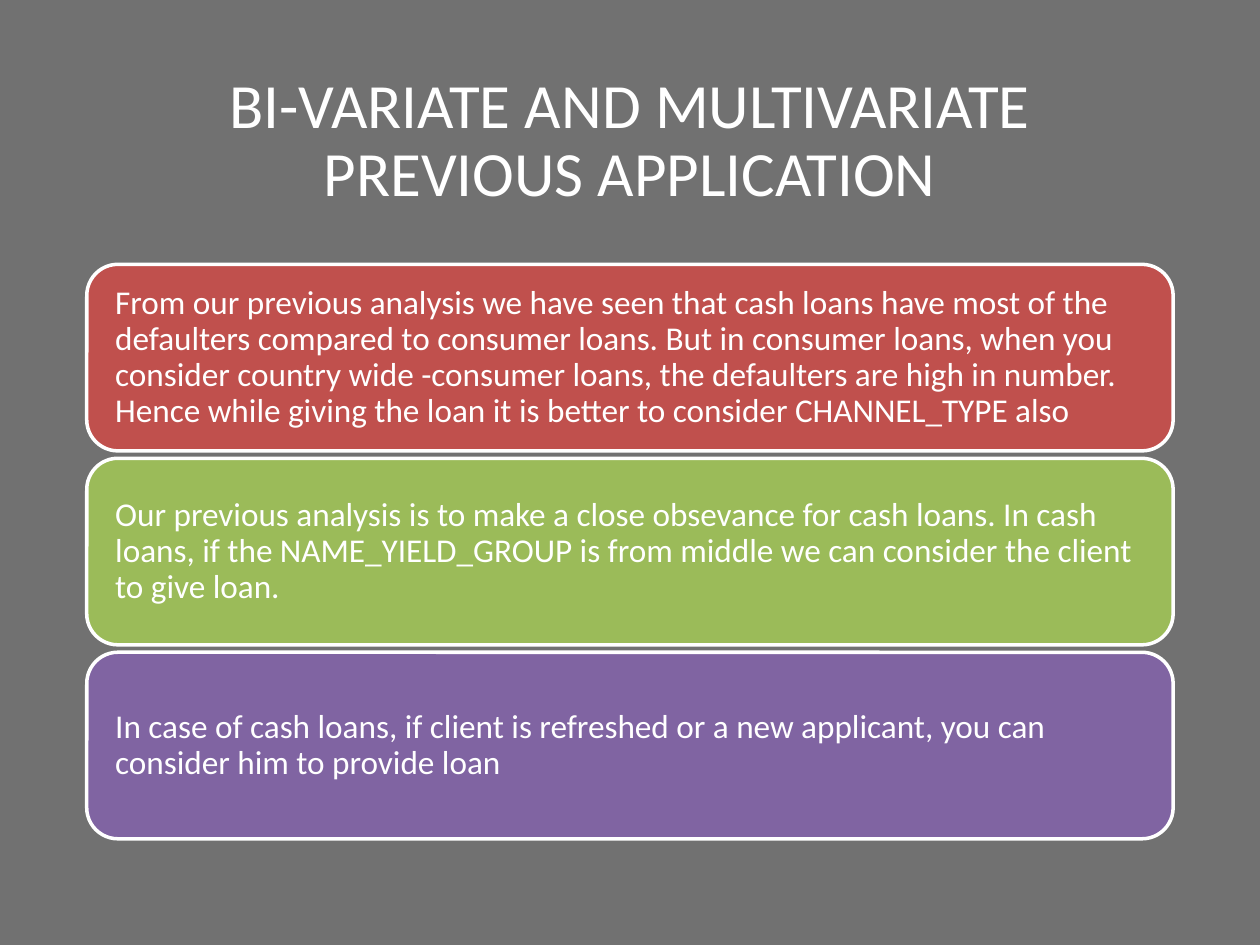
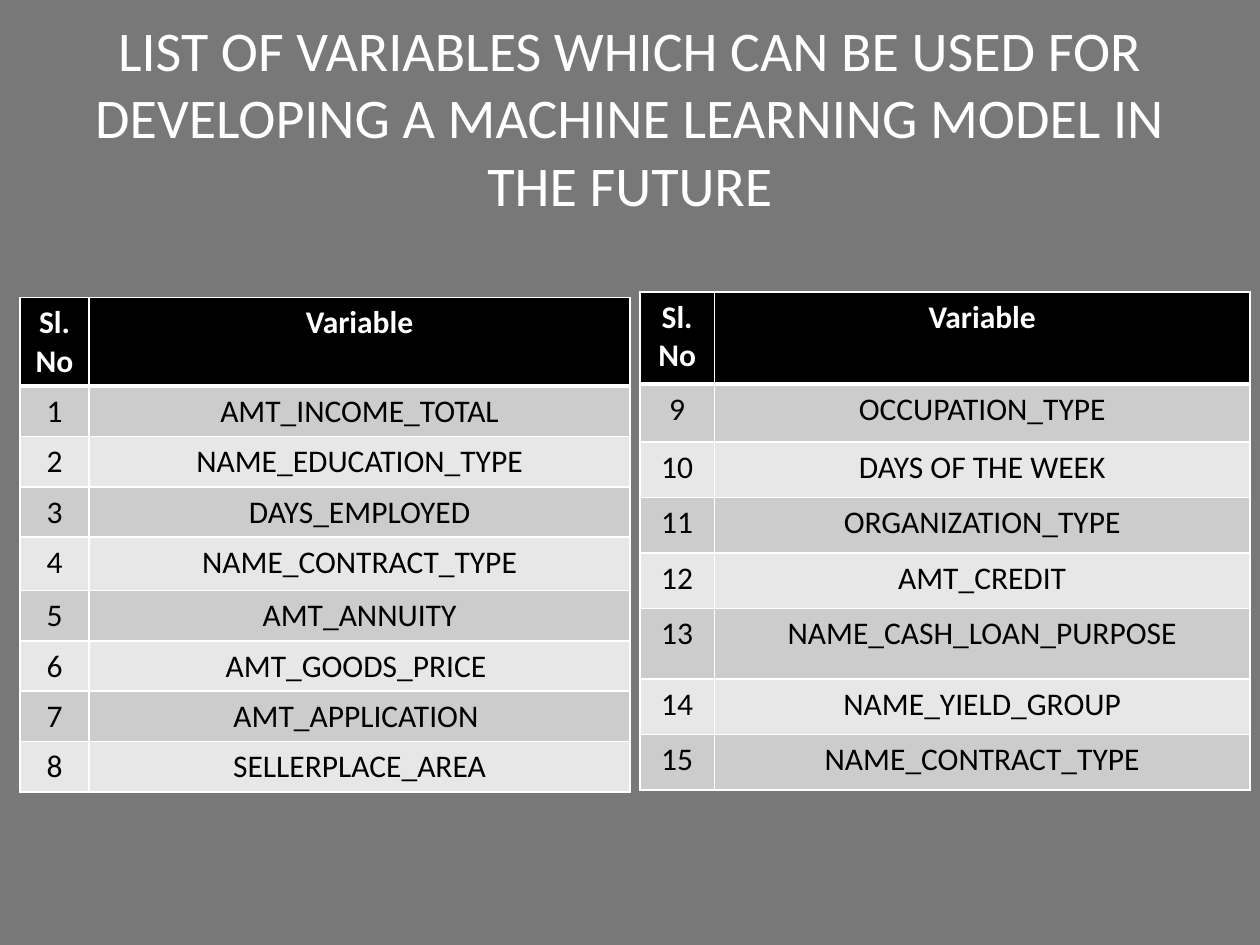
from lxml.etree import SubElement
from pptx import Presentation
from pptx.dml.color import RGBColor
from pptx.enum.shapes import MSO_SHAPE
from pptx.enum.text import MSO_ANCHOR, PP_ALIGN
from pptx.oxml.ns import qn
from pptx.util import Cm, Pt

FONT = "Calibri"
WHITE, BLACK = "FFFFFF", "000000"
BANDS = ("CCCCCC", "E7E7E7")
HEADINGS = ("Sl. No", "Variable")

FINDINGS = [
    ("C0504D", "From our previous analysis we have seen that cash loans have most of the "
               "defaulters compared to consumer loans. But in consumer loans, when you consider "
               "country wide -consumer loans, the defaulters are high in number. Hence while "
               "giving the loan it is better to consider CHANNEL_TYPE also"),
    ("9BBB59", "Our previous analysis is to make a close obsevance for cash loans. In cash loans, "
               "if the NAME_YIELD_GROUP is from middle we can consider the client to give loan."),
    ("8064A2", "In case of cash loans, if client is refreshed or a new applicant, "
               "you can consider him to provide loan"),
]
FIRST_VARIABLES = [
    "AMT_INCOME_TOTAL", "NAME_EDUCATION_TYPE", "DAYS_EMPLOYED", "NAME_CONTRACT_TYPE",
    "AMT_ANNUITY", "AMT_GOODS_PRICE ", "AMT_APPLICATION ", "SELLERPLACE_AREA",
]
LAST_VARIABLES = [
    "OCCUPATION_TYPE", "DAYS OF THE WEEK", "ORGANIZATION_TYPE", "AMT_CREDIT",
    "NAME_CASH_LOAN_PURPOSE", "NAME_YIELD_GROUP", "NAME_CONTRACT_TYPE",
]


def paint(fill, color):
    """Make a fill solid in a hex colour."""
    fill.solid()
    fill.fore_color.rgb = RGBColor.from_string(color)


def write(frame, text, size=18, color=WHITE, bold=False, align=PP_ALIGN.CENTER, spacing=1.0):
    """Put one formatted paragraph into a text frame."""
    frame.word_wrap = True
    paragraph = frame.paragraphs[0]
    paragraph.text = text
    paragraph.alignment = align
    paragraph.line_spacing = spacing
    for run in paragraph.runs:
        run.font.name = FONT
        run.font.size = Pt(size)
        run.font.bold = bold
        paint(run.font.fill, color)


def add_page(deck, background):
    """Add a blank slide with a plain background."""
    page = deck.slides.add_slide(deck.slide_layouts[6])
    paint(page.background.fill, background)
    return page


def add_title(page, text, left, top, width, height, **style):
    """Add the centred white slide title."""
    title = page.shapes.add_textbox(Cm(left), Cm(top), Cm(width), Cm(height))
    title.text_frame.vertical_anchor = MSO_ANCHOR.MIDDLE
    write(title.text_frame, text, **style)


def add_finding(page, text, color, top):
    """Add one rounded panel holding a finding."""
    panel = page.shapes.add_shape(
        MSO_SHAPE.ROUNDED_RECTANGLE, Cm(1.75), Cm(top), Cm(21.9), Cm(3.76))
    panel.shadow.inherit = False
    paint(panel.fill, color)
    paint(panel.line.fill, WHITE)
    panel.line.width = Pt(2)
    frame = panel.text_frame
    frame.margin_left = frame.margin_right = Cm(0.39)
    frame.vertical_anchor = MSO_ANCHOR.MIDDLE
    write(frame, text, size=19, align=PP_ALIGN.LEFT, spacing=0.9)


def add_borders(cell, top, bottom):
    """Draw white cell borders, with top and bottom widths in points."""
    properties = cell._tc.get_or_add_tcPr()
    for index, (side, width) in enumerate(
            (("lnL", 1), ("lnR", 1), ("lnT", top), ("lnB", bottom))):
        border = SubElement(properties, qn(f"a:{side}"), w=str(Pt(width)))
        solid = SubElement(border, qn("a:solidFill"))
        SubElement(solid, qn("a:srgbClr"), val=WHITE)
        properties.insert(index, border)


def add_variables(page, variables, first_number, left, top, column_widths, row_heights):
    """Add a numbered table of variables with a black heading row."""
    rows = [HEADINGS] + [(str(number), name)
                         for number, name in enumerate(variables, first_number)]
    table = page.shapes.add_table(
        len(rows), len(HEADINGS), Cm(left), Cm(top),
        Cm(sum(column_widths)), Cm(sum(row_heights))).table
    for column, width in zip(table.columns, column_widths):
        column.width = Cm(width)
    for row, height in zip(table.rows, row_heights):
        row.height = Cm(height)
    for r, values in enumerate(rows):
        heading = r == 0
        for c, value in enumerate(values):
            cell = table.cell(r, c)
            paint(cell.fill, BLACK if heading else BANDS[(r - 1) % 2])
            add_borders(cell, top=3 if r == 1 else 1, bottom=3 if heading else 1)
            write(cell.text_frame, value, color=WHITE if heading else BLACK, bold=heading)


def main():
    """Build both slides and save the deck."""
    deck = Presentation()
    deck.slide_width, deck.slide_height = Cm(25.4), Cm(19.05)

    findings_page = add_page(deck, "717171")
    add_title(findings_page, "BI-VARIATE AND MULTIVARIATE\nPREVIOUS APPLICATION",
              1.75, 1.02, 21.9, 3.68, size=36, spacing=0.9)
    for index, (color, finding) in enumerate(FINDINGS):
        add_finding(findings_page, finding, color, 5.33 + index * 3.91)

    variables_page = add_page(deck, "787878")
    add_title(variables_page,
              "LIST OF VARIABLES WHICH CAN BE USED FOR DEVELOPING "
              "A MACHINE LEARNING MODEL IN THE FUTURE",
              1.27, 0.76, 22.86, 3.18, size=32)
    add_variables(variables_page, FIRST_VARIABLES, 1, 0.4, 6, (1.4, 10.9),
                  [1.55] + [0.9] * 3 + [1.07] + [0.9] * 4)
    add_variables(variables_page, LAST_VARIABLES, 9, 12.9, 5.89, (1.5, 10.8),
                  [1.85, 1.17] + [1.12] * 3 + [1.42] + [1.12] * 2)

    deck.save("out.pptx")


if __name__ == "__main__":
    main()
